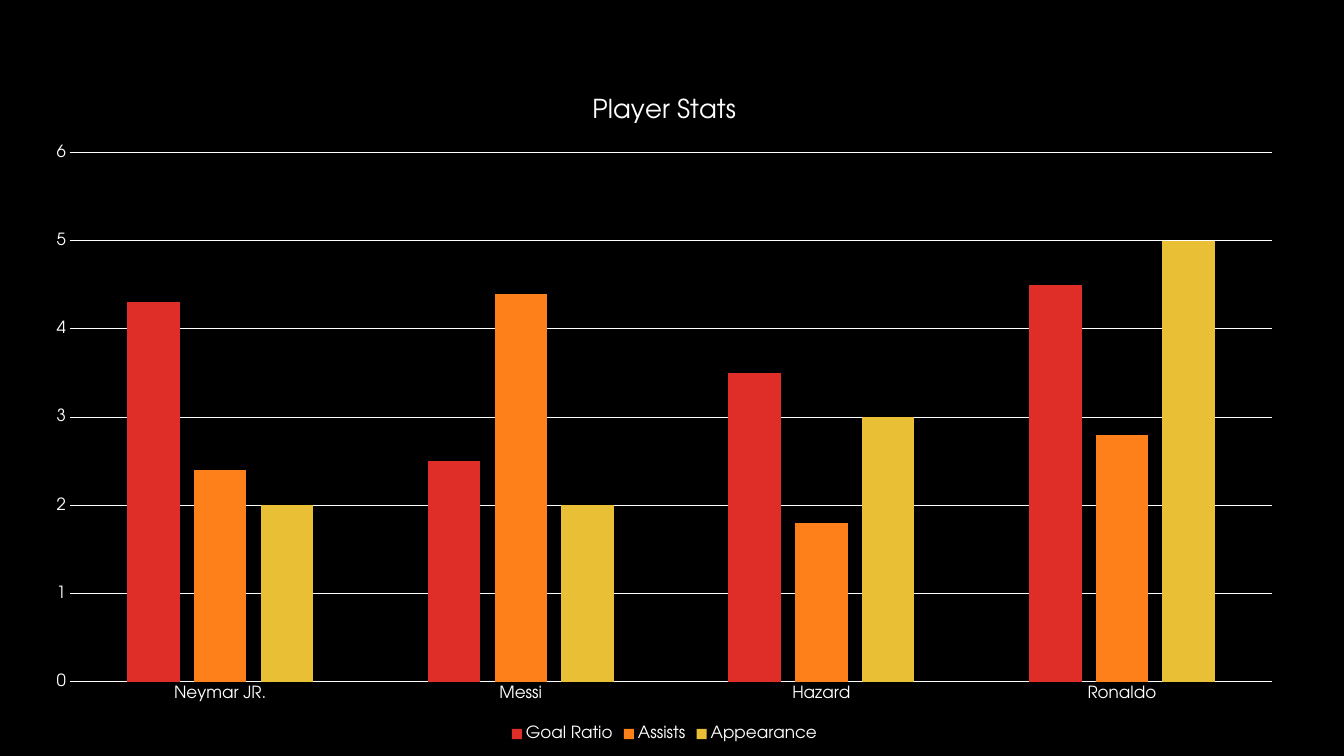
import pptx
import pptx.util
import pptx.chart.data
import pptx.dml.color
import pptx.enum.chart
from dataclasses import dataclass

Inches = pptx.util.Inches
Pt = pptx.util.Pt


@dataclass(frozen=True)
class Theme:
    font: str = "TeX Gyre Adventor"
    back: str = "000000"
    ink: str = "FFFFFF"
    bars: tuple = ("DF2E28", "FE801A", "E9BF35")
    base: float = 10
    label: float = 12
    title: float = 18.6
    rule: float = 0.75


THEME = Theme()
PLAYERS = ("Neymar JR.", "Messi", "Hazard", "Ronaldo")
STATS = {
    "Goal Ratio": (4.3, 2.5, 3.5, 4.5),
    "Assists": (2.4, 4.4, 1.8, 2.8),
    "Appearance": (2, 2, 3, 5),
}


def color(code):
    return pptx.dml.color.RGBColor.from_string(code)


def style(font, size):
    font.name = THEME.font
    font.size = Pt(size)
    font.bold = False
    font.color.rgb = color(THEME.ink)


def rule(line):
    line.color.rgb = color(THEME.ink)
    line.width = Pt(THEME.rule)


def add_title(chart, text):
    para = chart.chart_title.text_frame.paragraphs[0]
    run = para.add_run()
    run.text = text
    style(run.font, THEME.title)
    chart.chart_title.include_in_layout = False


def set_axes(chart):
    none = pptx.enum.chart.XL_TICK_MARK.NONE
    for axis in (chart.category_axis, chart.value_axis):
        axis.major_tick_mark = none
        axis.minor_tick_mark = none
        style(axis.tick_labels.font, THEME.label)
    rule(chart.category_axis.format.line)
    values = chart.value_axis
    values.minimum_scale, values.maximum_scale, values.major_unit = 0, 6, 1
    values.format.line.fill.background()
    values.has_major_gridlines = True
    rule(values.major_gridlines.format.line)


def set_bars(plot):
    plot.vary_by_categories = False
    plot.gap_width = 219
    plot.overlap = -27
    for series, code in zip(plot.series, THEME.bars):
        series.invert_if_negative = False
        series.format.fill.solid()
        series.format.fill.fore_color.rgb = color(code)


def set_legend(chart):
    chart.has_legend = True
    chart.legend.position = pptx.enum.chart.XL_LEGEND_POSITION.BOTTOM
    chart.legend.include_in_layout = False
    style(chart.legend.font, THEME.label)


def add_stats(slide, left, top, width, height):
    """Fill the given box, in inches, with the player chart."""
    data = pptx.chart.data.CategoryChartData()
    data.categories = PLAYERS
    for name, values in STATS.items():
        data.add_series(name, values)
    kind = pptx.enum.chart.XL_CHART_TYPE.COLUMN_CLUSTERED
    box = [Inches(side) for side in (left, top, width, height)]
    chart = slide.shapes.add_chart(kind, *box, data).chart
    style(chart.font, THEME.base)
    add_title(chart, "Player Stats")
    set_axes(chart)
    set_bars(chart.plots[0])
    set_legend(chart)


def main():
    deck = pptx.Presentation()
    deck.slide_width = Inches(13.33)
    deck.slide_height = Inches(7.5)
    slide = deck.slides.add_slide(deck.slide_layouts[6])
    fill = slide.background.fill
    fill.solid()
    fill.fore_color.rgb = color(THEME.back)
    add_stats(slide, 0.31, 0.72, 12.56, 6.68)
    deck.save("out.pptx")


if __name__ == "__main__":
    main()
